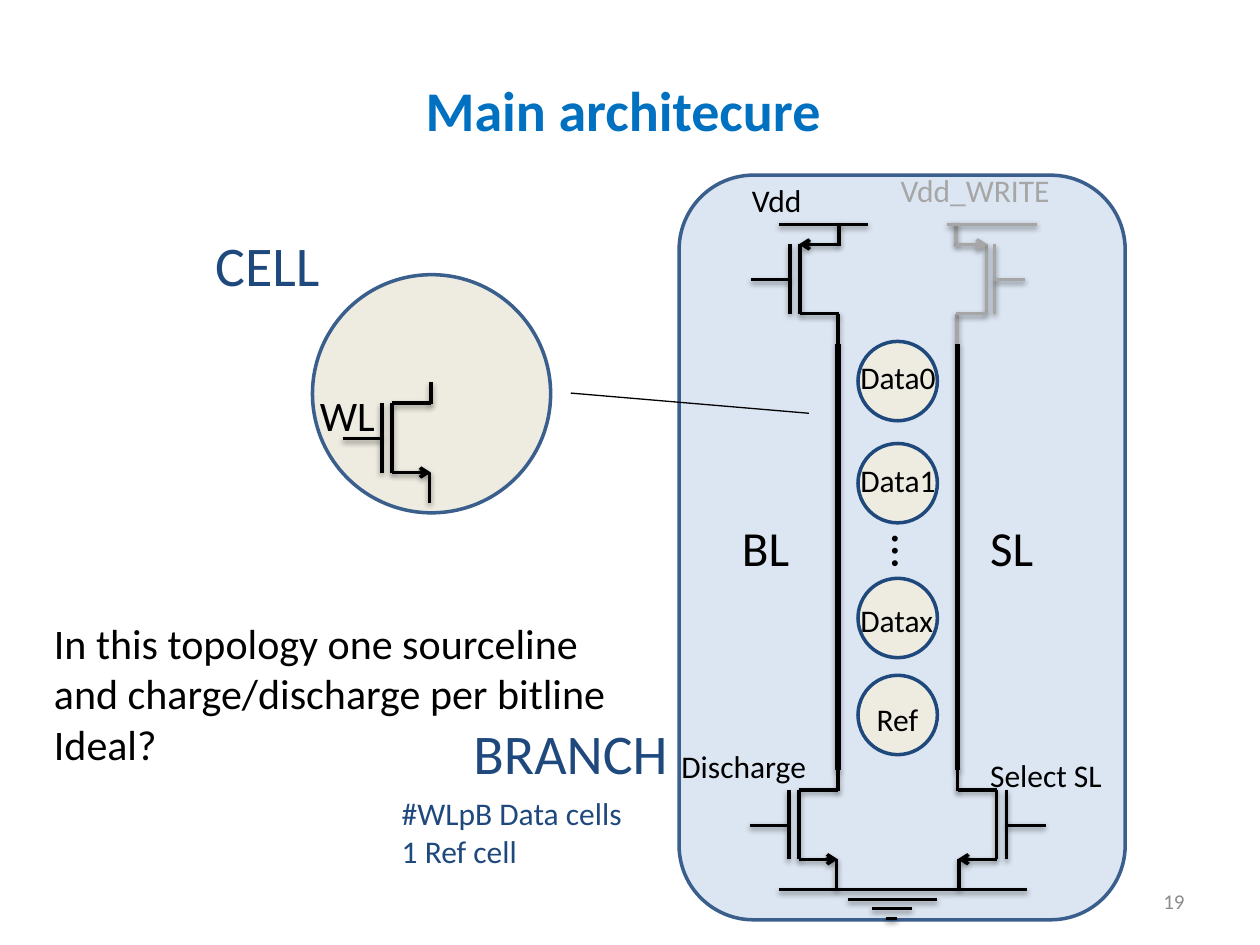
import pptx
import pptx.util
import pptx.dml.color
import pptx.enum.shapes
import pptx.enum.text
import pptx.oxml
import pptx.oxml.ns

Inches = pptx.util.Inches
Pt = pptx.util.Pt
SHAPE = pptx.enum.shapes.MSO_SHAPE
ALIGN = pptx.enum.text.PP_ALIGN
ANCHOR = pptx.enum.text.MSO_ANCHOR
AUTO_SIZE = pptx.enum.text.MSO_AUTO_SIZE

BLACK, GREY, NAVY, OUTLINE = "000000", "A6A6A6", "1F497D", "3A5F8C"
CREAM, PALE_BLUE = "EEECE1", "DCE6F2"

LABELS = [
    (["Main architecure"], 3.28, 0.55, 5.94, 0.64, 32, "0070C0", True),
    (["CELL"], 1.61, 1.78, 1.04, 0.64, 32, NAVY, False),
    (["Vdd"], 5.87, 1.39, 0.6, 0.4, 18, BLACK, False),
    (["Vdd_WRITE"], 7.05, 1.31, 1.4, 0.4, 18, GREY, False),
    (["BRANCH"], 3.66, 5.65, 1.76, 0.64, 32, NAVY, False),
    (["BL"], 5.79, 4.06, 0.87, 0.57, 28, BLACK, True),
    (["SL"], 7.76, 4.06, 0.87, 0.57, 28, BLACK, True),
    (["Select SL"], 7.76, 5.95, 1.26, 0.4, 18, BLACK, True),
    (["Discharge"], 5.31, 5.88, 1.34, 0.4, 18, BLACK, True),
    (["In this topology one sourceline \vand charge/discharge per bitline", "Ideal?"],
     0.33, 4.85, 4.74, 1.31, 24, BLACK, False),
    (["#WLpB Data cells", "1 Ref cell"], 3.09, 6.25, 1.97, 0.71, 18, NAVY, False),
]
BRANCH_CELLS = [
    ("Data0", 2.71, 6.73, 2.79, 0.81),
    ("Data1", 3.52, 6.73, 3.61, 0.81),
    ("Datax", 4.59, 6.73, 4.72, 0.79),
    ("Ref", 5.36, 6.86, 5.51, 0.54),
]
TRANSISTORS = [
    (6.34, 6.27, 1, False, BLACK),
    (7.91, 6.27, -1, False, BLACK),
    (6.35, 1.94, 1, True, BLACK),
    (7.83, 1.94, -0.78, True, GREY),
]
RAILS = [
    (6.18, 6.89, 1.78, BLACK),
    (7.52, 8.23, 1.78, GREY),
    (6.18, 8.15, 7.06, BLACK),
    (6.73, 7.44, 7.14, BLACK),
    (6.92, 7.24, 7.21, BLACK),
    (7.03, 7.12, 7.29, BLACK),
]
TRANSISTOR_WIRES = [
    (0, 0, 0, 0.55),
    (-0.08, 0, -0.08, 0.55),
    (-0.39, 0.28, -0.08, 0.28),
    (0.31, 0.01, 0.31, -0.17),
    (0.3, 0.55, 0.3, 0.79),
]
DRAIN, SOURCE = (0, 0, 0.31, 0), (0, 0.55, 0.31, 0.55)
P_SOURCE = (0.31, 0, -0.01, 0)


def colour(value):
    return pptx.dml.color.RGBColor.from_string(value)


def add_outline(shapes, kind, left, top, width, height, fill, line):
    shape = shapes.add_shape(kind, Inches(left), Inches(top), Inches(width), Inches(height))
    shape.shadow.inherit = False
    shape.fill.solid()
    shape.fill.fore_color.rgb = colour(fill)
    shape.line.color.rgb = colour(line)
    shape.line.width = Pt(2)


def add_label(shapes, lines, left, top, width, height, size, ink, wrap=False):
    box = shapes.add_textbox(Inches(left), Inches(top), Inches(width), Inches(height))
    frame = box.text_frame
    frame.text = "\n".join(lines)
    frame.word_wrap = wrap
    frame.auto_size = AUTO_SIZE.SHAPE_TO_FIT_TEXT
    for para in frame.paragraphs:
        for span in para.runs:
            span.font.name = "Calibri"
            span.font.size = Pt(size)
            span.font.color.rgb = colour(ink)
    return box


def add_wire(shapes, x1, y1, x2, y2, ink=BLACK, width=2, arrow=False, shadow=38):
    wire = shapes.add_connector(pptx.enum.shapes.MSO_CONNECTOR.STRAIGHT,
                                Inches(x1), Inches(y1), Inches(x2), Inches(y2))
    wire.line.color.rgb = colour(ink)
    wire.line.width = Pt(width)
    if arrow:
        tail = pptx.oxml.parse_xml(
            f'<a:tailEnd {pptx.oxml.ns.nsdecls("a")} type="arrow"/>')
        wire.line._get_or_add_ln().append(tail)
    effect = ""
    if shadow:
        effect = (f'<a:outerShdw blurRad="{Pt(3.1)}" dist="{Pt(1.6)}" dir="5400000" rotWithShape="0">'
                  f'<a:srgbClr val="000000"><a:alpha val="{shadow * 1000}"/></a:srgbClr></a:outerShdw>')
    wire._element.spPr.append(pptx.oxml.parse_xml(
        f'<a:effectLst {pptx.oxml.ns.nsdecls("a")}>{effect}</a:effectLst>'))


def add_transistor(shapes, x, y, stretch, p_type, ink):
    plain, pointed = (SOURCE, P_SOURCE) if p_type else (DRAIN, SOURCE)
    for part in TRANSISTOR_WIRES + [plain, pointed]:
        x1, y1, x2, y2 = part
        add_wire(shapes, x + stretch * x1, y + y1, x + stretch * x2, y + y2,
                 ink, arrow=part is pointed)


def main():
    deck = pptx.Presentation()
    deck.slide_width, deck.slide_height = Inches(10), Inches(7.5)
    page = deck.slides.add_slide(deck.slide_layouts[6])
    shapes = page.shapes

    add_outline(shapes, SHAPE.ROUNDED_RECTANGLE, 5.39, 1.39, 3.54, 5.91, PALE_BLUE, OUTLINE)

    cell = shapes.add_group_shape().shapes
    add_outline(cell, SHAPE.OVAL, 2.48, 2.18, 1.89, 1.89, CREAM, OUTLINE)
    add_transistor(cell, 3.11, 3.2, 1, False, BLACK)
    add_label(cell, ["WL"], 2.44, 3.04, 0.64, 0.5, 24, BLACK)

    add_wire(shapes, 4.53, 3.12, 6.42, 3.28, width=0.75, shadow=0)
    for x in (6.65, 7.6):
        add_wire(shapes, x, 2.73, x, 6.11, width=3, shadow=35)
    for transistor in TRANSISTORS:
        add_transistor(shapes.add_group_shape().shapes, *transistor)
    for start, end, y, ink in RAILS:
        add_wire(shapes, start, y, end, y, ink)

    for name, circle_top, left, top, width in BRANCH_CELLS:
        add_outline(shapes, SHAPE.OVAL, 6.81, circle_top, 0.63, 0.63, CREAM, NAVY)
        add_label(shapes, [name], left, top, width, 0.4, 18, BLACK)
    dots = add_label(shapes, ["…"], 7, 4.09, 0.47, 0.57, 28, BLACK)
    dots.rotation = 90

    title, *_ = [add_label(shapes, *label) for label in LABELS]
    title.text_frame.paragraphs[0].runs[0].font.bold = True

    number = add_label(shapes, ["19"], 7.17, 6.95, 2.33, 0.4, 12, "8C8C8C", True)
    number.text_frame.auto_size = AUTO_SIZE.NONE
    number.text_frame.vertical_anchor = ANCHOR.MIDDLE
    number.text_frame.paragraphs[0].alignment = ALIGN.RIGHT

    deck.save("out.pptx")


if __name__ == "__main__":
    main()
